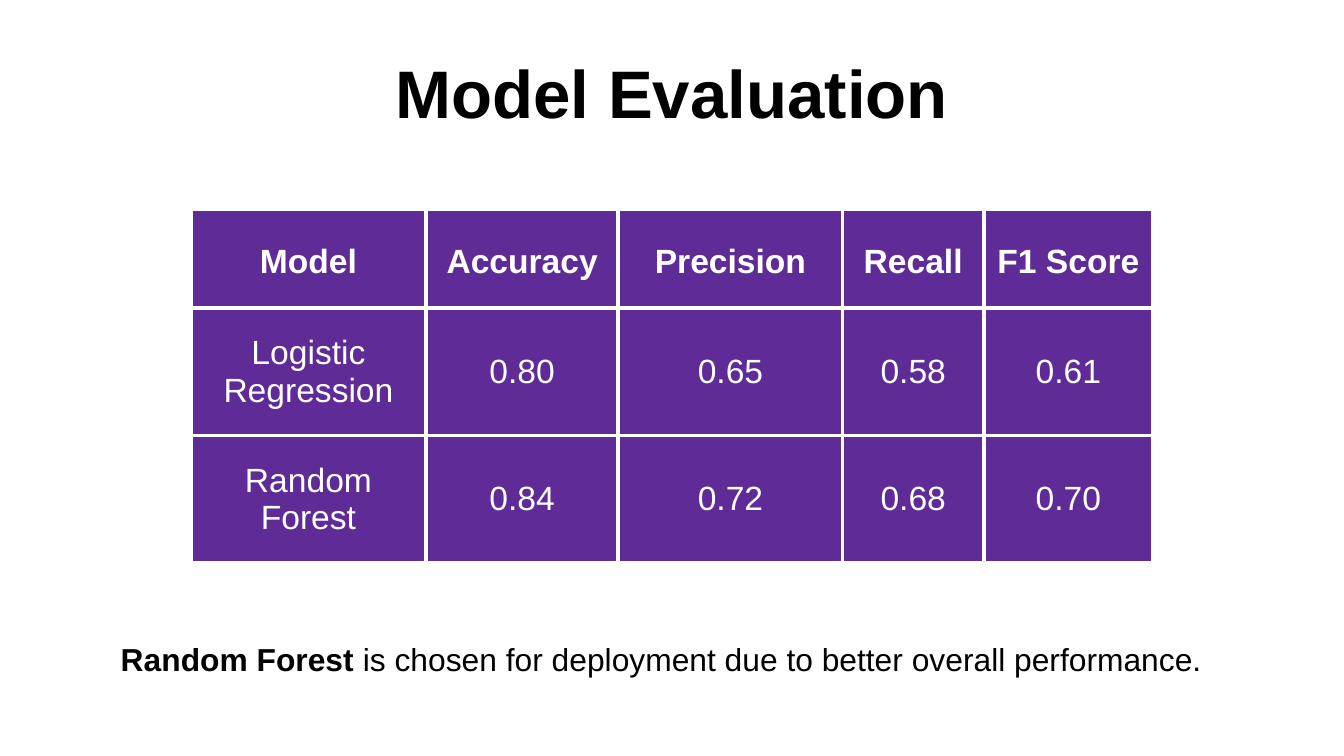
from lxml import etree
from pptx import Presentation
from pptx.dml.color import RGBColor
from pptx.enum.text import MSO_ANCHOR, PP_ALIGN
from pptx.oxml.ns import qn
from pptx.util import Inches, Pt

BLACK = RGBColor(0x00, 0x00, 0x00)
WHITE = RGBColor(0xFF, 0xFF, 0xFF)
PURPLE = RGBColor(0x5E, 0x2B, 0x97)
CENTER = PP_ALIGN.CENTER
MIDDLE = MSO_ANCHOR.MIDDLE
BOTTOM = MSO_ANCHOR.BOTTOM

FONT = "Arial"
INSET = Inches(0.1)
BORDER_WIDTH = Pt(2.25)

COLUMN_WIDTHS = [1.75, 1.43, 1.67, 1.05, 1.26]
ROW_HEIGHTS = [0.73, 0.95, 0.95]
SCORES = [
    ["Model", "Accuracy", "Precision", "Recall", "F1 Score"],
    ["Logistic Regression", "0.80", "0.65", "0.58", "0.61"],
    ["Random Forest", "0.84", "0.72", "0.68", "0.70"],
]


def format_span(span, size, color, bold):
    span.font.name = FONT
    span.font.size = Pt(size)
    span.font.color.rgb = color
    span.font.bold = bold


def set_insets(target):
    target.margin_left = target.margin_right = INSET
    target.margin_top = target.margin_bottom = INSET


def add_text(slide, left, top, width, height, spans, size):
    """Add a one-paragraph box from (text, bold) pairs and return its text frame."""
    box = slide.shapes.add_textbox(
        Inches(left), Inches(top), Inches(width), Inches(height))
    frame = box.text_frame
    frame.word_wrap = True
    set_insets(frame)
    for text, bold in spans:
        span = frame.paragraphs[0].add_run()
        span.text = text
        format_span(span, size, BLACK, bold)
    return frame


def add_title(slide, text):
    frame = add_text(slide, 2.24, 0.25, 5.52, 0.83, [(text, True)], 36)
    frame.vertical_anchor = BOTTOM
    para = frame.paragraphs[0]
    para.alignment = CENTER
    para.line_spacing = 1.15
    para.space_before = Pt(14)
    para.space_after = Pt(4)


def add_borders(cell):
    properties = cell._tc.get_or_add_tcPr()
    for side in ("a:lnL", "a:lnR", "a:lnT", "a:lnB"):
        line = etree.SubElement(properties, qn(side), w=str(BORDER_WIDTH))
        fill = etree.SubElement(line, qn("a:solidFill"))
        etree.SubElement(fill, qn("a:srgbClr"), val=str(WHITE))


def fill_cell(cell, text, is_header):
    add_borders(cell)
    cell.fill.solid()
    cell.fill.fore_color.rgb = PURPLE
    cell.vertical_anchor = MIDDLE
    set_insets(cell)
    cell.text_frame.text = text
    para = cell.text_frame.paragraphs[0]
    para.alignment = CENTER
    if is_header:
        para.line_spacing = 1.15
    format_span(para.runs[0], 18, WHITE, is_header)


def add_score_table(slide, left, top):
    frame = slide.shapes.add_table(
        len(ROW_HEIGHTS), len(COLUMN_WIDTHS), Inches(left), Inches(top),
        Inches(sum(COLUMN_WIDTHS)), Inches(sum(ROW_HEIGHTS)))
    table = frame.table
    table.first_row = table.horz_banding = False
    for column, width in zip(table.columns, COLUMN_WIDTHS):
        column.width = Inches(width)
    for index, (row, height) in enumerate(zip(table.rows, ROW_HEIGHTS)):
        row.height = Inches(height)
        for cell, text in zip(row.cells, SCORES[index]):
            fill_cell(cell, text, is_header=index == 0)


def main():
    deck = Presentation()
    deck.slide_width = Inches(10)
    deck.slide_height = deck.slide_width * 9 // 16
    slide = deck.slides.add_slide(deck.slide_layouts[6])
    add_title(slide, "Model Evaluation")
    add_score_table(slide, 1.42, 1.56)
    add_text(slide, 0.8, 4.66, 8.41, 0.47, [
        ("Random Forest", True),
        (" is chosen for deployment due to better overall performance.", False),
    ], 17)
    deck.save("out.pptx")


if __name__ == "__main__":
    main()
